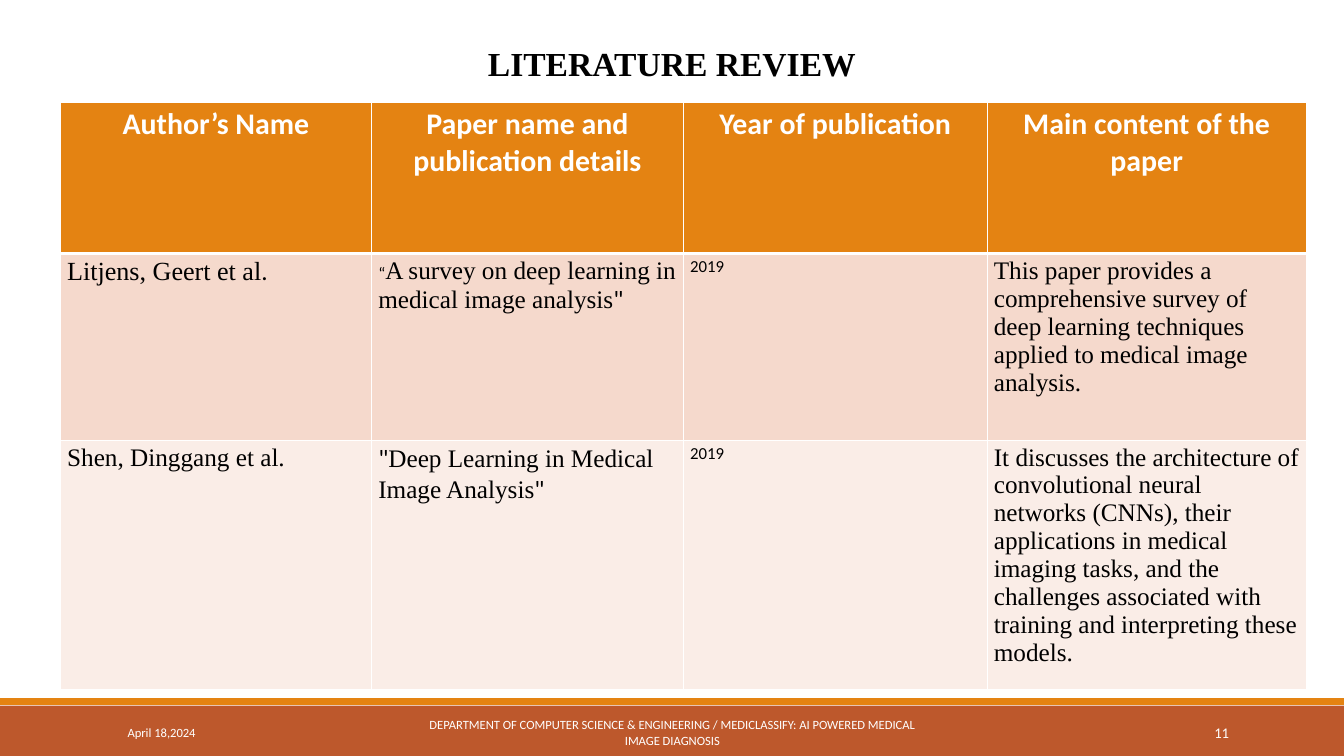
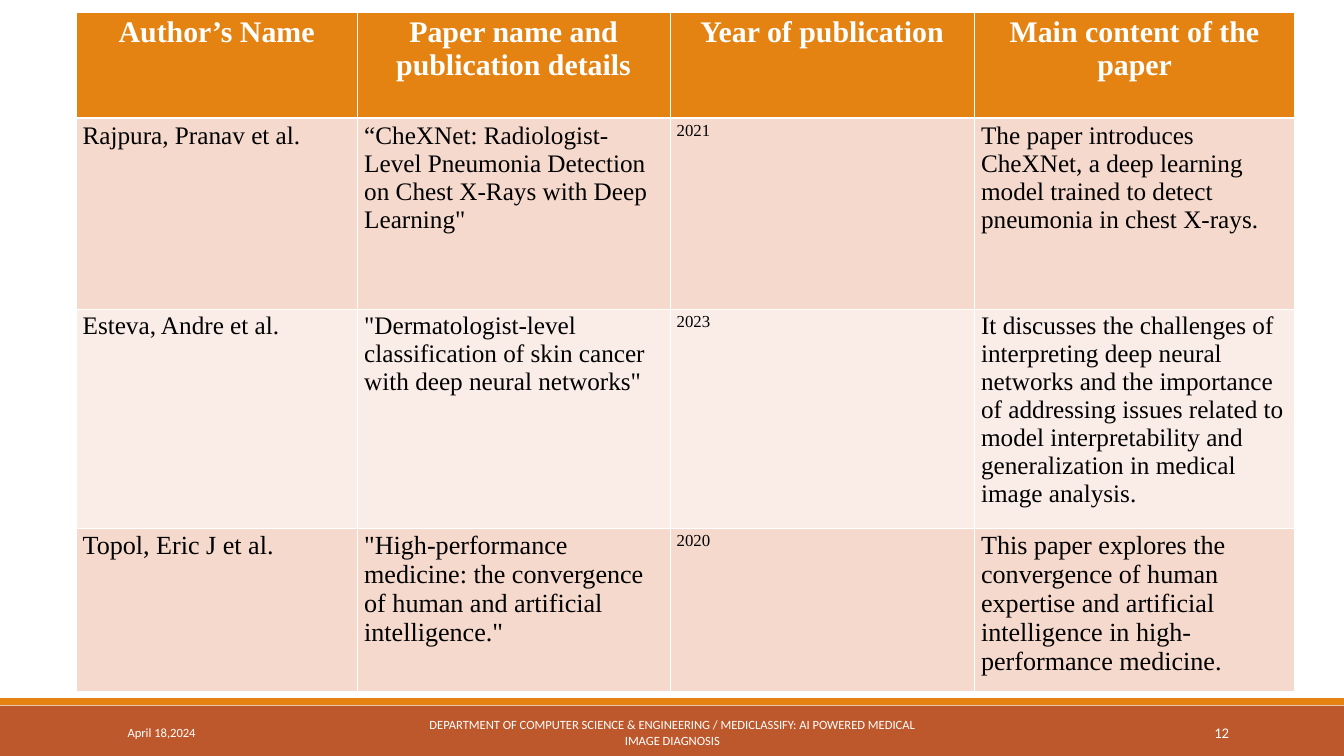
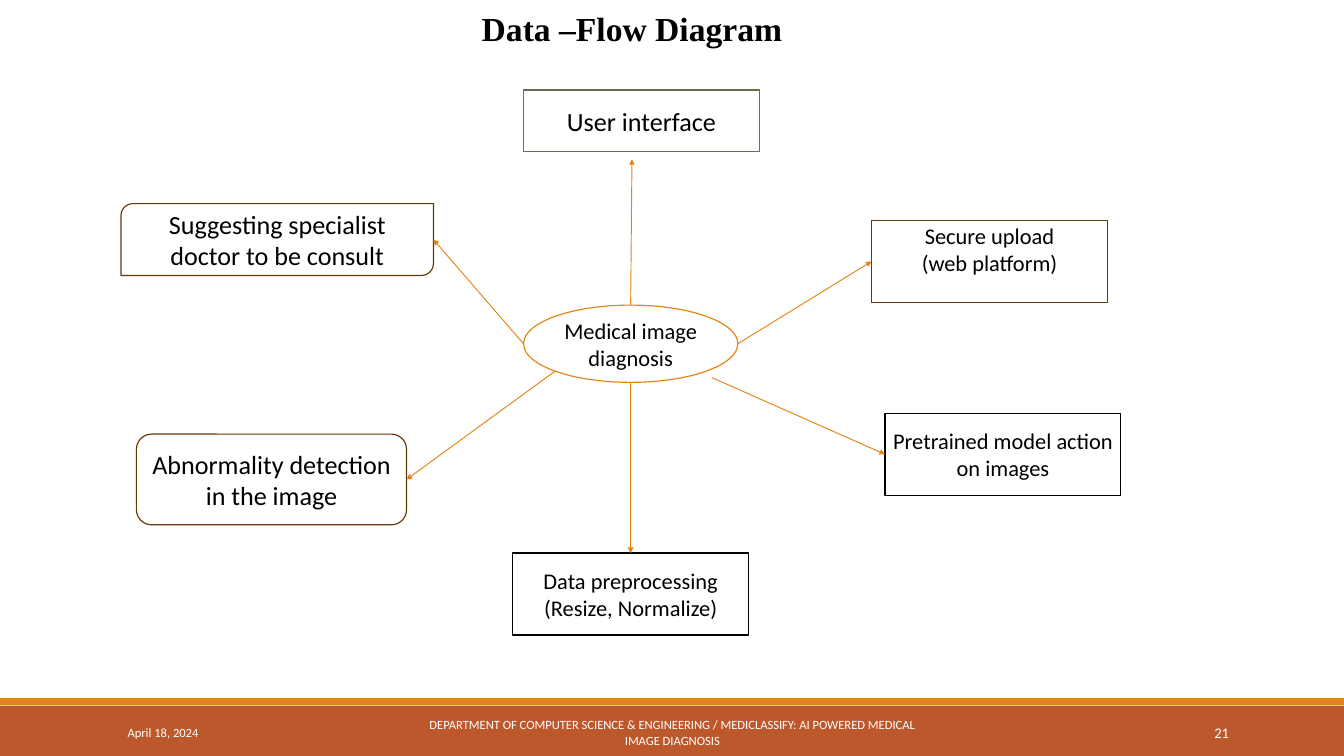
"""Builds three slides: two literature review tables and a data-flow diagram."""
from dataclasses import dataclass

from lxml import etree
from pptx import Presentation
from pptx.dml.color import RGBColor
from pptx.enum.shapes import MSO_CONNECTOR, MSO_SHAPE
from pptx.enum.text import MSO_ANCHOR, PP_ALIGN
from pptx.oxml.ns import qn
from pptx.util import Inches, Pt

WHITE = RGBColor(0xFF, 0xFF, 0xFF)
BLACK = RGBColor(0x00, 0x00, 0x00)
ORANGE = RGBColor(0xE4, 0x83, 0x12)
RUST = RGBColor(0xBD, 0x58, 0x2C)
PEACH = RGBColor(0xF5, 0xD9, 0xCC)
BLUSH = RGBColor(0xFA, 0xED, 0xE7)
OLIVE = RGBColor(0x63, 0x70, 0x52)
BROWN = RGBColor(0x64, 0x39, 0x08)

SANS = "Calibri"
SERIF = "Times New Roman"
LEFT, CENTER, RIGHT = PP_ALIGN.LEFT, PP_ALIGN.CENTER, PP_ALIGN.RIGHT
TOP, MIDDLE = MSO_ANCHOR.TOP, MSO_ANCHOR.MIDDLE
RECTANGLE, OVAL = MSO_SHAPE.RECTANGLE, MSO_SHAPE.OVAL
ROUNDED = MSO_SHAPE.ROUNDED_RECTANGLE
TWO_ROUNDED = MSO_SHAPE.ROUND_2_DIAG_RECTANGLE
STRAIGHT = MSO_CONNECTOR.STRAIGHT

COLUMNS, ROWS = 20, 11.25
WIDTH, HEIGHT = Inches(20), Inches(11.25)
FOOTER_TOP, FOOTER_ROWS = 10.6, 0.6
FOOTER_TEXT = ("DEPARTMENT OF COMPUTER SCIENCE & ENGINEERING / "
               "MEDICLASSIFY: AI POWERED MEDICAL IMAGE DIAGNOSIS")
HEADINGS = ("Author’s Name", "Paper name and publication details",
            "Year of publication", "Main content of the paper")


@dataclass
class Span:
    """A piece of text in one style."""
    text: str
    size: float = 27
    font: str = SERIF
    color: RGBColor = BLACK
    bold: bool = False


@dataclass
class Node:
    """A box of the diagram, placed in grid columns and rows."""
    place: tuple
    lines: tuple
    outline: RGBColor
    size: int = 24
    kind: int = RECTANGLE
    fill: RGBColor = None
    anchor: int = MIDDLE

    def point(self, across, down):
        """Return the grid point at the given shares of the box."""
        left, top, width, height = self.place
        return left + across * width, top + down * height


def grid(*lengths):
    """Turn grid units into slide lengths."""
    return [int(length * WIDTH / COLUMNS) for length in lengths]


def write(frame, paragraphs, align=LEFT):
    """Write paragraphs, each a list of spans, into a text frame."""
    frame.word_wrap = True
    for index, spans in enumerate(paragraphs):
        para = frame.add_paragraph() if index else frame.paragraphs[0]
        para.alignment = align
        for span in spans:
            run = para.add_run()
            run.text = span.text
            run.font.size = Pt(span.size)
            run.font.name = span.font
            run.font.bold = span.bold
            run.font.color.rgb = span.color


def add_text(page, place, span, align=LEFT, anchor=TOP, indent=0):
    """Add a text box holding one span and return its paragraph."""
    frame = page.shapes.add_textbox(*grid(*place)).text_frame
    write(frame, [[span]], align)
    frame.vertical_anchor = anchor
    para = frame.paragraphs[0]
    if indent:
        para._p.get_or_add_pPr().set("marL", str(grid(indent)[0]))
    return para


def add_box(page, kind, place, fill=None, outline=None):
    """Add a flat preset shape."""
    box = page.shapes.add_shape(kind, *grid(*place))
    box.shadow.inherit = False
    if fill is None:
        box.fill.background()
    else:
        box.fill.solid()
        box.fill.fore_color.rgb = fill
    if outline is None:
        box.line.fill.background()
    else:
        box.line.color.rgb = outline
        box.line.width = Pt(1.25)
    return box


def add_page(deck, date, number):
    """Add a blank page with the shared bands and footer."""
    page = deck.slides.add_slide(deck.slide_layouts[6])
    add_box(page, RECTANGLE, (0, 10.5, COLUMNS, ROWS - 10.5), RUST)
    add_box(page, RECTANGLE, (0, 10.39, COLUMNS, 0.1), ORANGE)
    footers = ((1.8, 4.06, date, 13.5, LEFT),
               (6.05, 7.91, FOOTER_TEXT, 13.5, CENTER),
               (16.24, 2.15, str(number), 15.8, RIGHT))
    for left, width, text, size, align in footers:
        add_text(page, (left, FOOTER_TOP, width, FOOTER_ROWS),
                 Span(text, size, SANS, WHITE), align, MIDDLE)
    return page


def add_title(page, place, text, align=LEFT, indent=0):
    """Add the page title and return its paragraph."""
    return add_text(page, place, Span(text, 36, bold=True), align, indent=indent)


def set_borders(cell, bottom):
    """Draw white borders round a cell, the bottom one as wide as given."""
    properties = cell._tc.get_or_add_tcPr()
    for side, points in (("L", 1), ("R", 1), ("T", 1), ("B", bottom)):
        line = etree.SubElement(properties, qn(f"a:ln{side}"), w=str(Pt(points)))
        fill = etree.SubElement(line, qn("a:solidFill"))
        etree.SubElement(fill, qn("a:srgbClr"), val=str(WHITE))


def add_review(page, corner, widths, heights, papers, heading_font):
    """Add a table of papers below a row of headings."""
    headings = [[Span(text, 32, heading_font, WHITE, True)] for text in HEADINGS]
    place = (*corner, sum(widths), sum(heights))
    table = page.shapes.add_table(len(heights), len(widths), *grid(*place)).table
    for column, width in zip(table.columns, grid(*widths)):
        column.width = width
    for row, height in zip(table.rows, grid(*heights)):
        row.height = height
    for index, entries in enumerate([headings, *papers]):
        fill = (PEACH if index % 2 else BLUSH) if index else ORANGE
        for cell, spans in zip(table.rows[index].cells, entries):
            set_borders(cell, 1 if index else 3)
            cell.fill.solid()
            cell.fill.fore_color.rgb = fill
            write(cell.text_frame, [spans], LEFT if index else CENTER)


def paper(author, name, year, content, size=27):
    """Return a table row in which all but the year has one size."""
    return [[Span(author, size)], [Span(name, size)], [Span(year, 18)],
            [Span(content, size)]]


def add_node(page, node):
    """Add a diagram box with its centred text."""
    box = add_box(page, node.kind, node.place, node.fill, node.outline)
    frame = box.text_frame
    write(frame, [[Span(line, node.size, SANS)] for line in node.lines], CENTER)
    frame.vertical_anchor = node.anchor
    if node.anchor == TOP:
        frame.margin_top = grid(0.03)[0]


def add_arrow(page, start, end):
    """Add an orange arrow between two grid points."""
    arrow = page.shapes.add_connector(STRAIGHT, *grid(*start, *end))
    arrow.line.color.rgb = ORANGE
    arrow.line.width = Pt(1)
    etree.SubElement(arrow.line._get_or_add_ln(), qn("a:tailEnd"), type="triangle")
    etree.SubElement(arrow._element.spPr, qn("a:effectLst"))


def build_first_review(deck):
    """Build the titled literature review page."""
    page = add_page(deck, "April 18,2024", 11)
    title = add_title(page, (0.53, 0.29, 18.44, 0.9), "LITERATURE REVIEW", CENTER, 0.5)
    title.line_spacing = 1.5
    year = [Span("2019", 18, SANS)]
    quote = Span('"', font=SANS)
    papers = [
        [[Span("Litjens, Geert et al", 28), Span(".", font=SANS)],
         [Span("“", 18, SANS),
          Span("A survey on deep learning in medical image analysis"), quote],
         year,
         [Span("This paper provides a comprehensive survey of deep learning "
               "techniques applied to medical image analysis.")]],
        [[Span("Shen, Dinggang et al.")],
         [quote, Span("Deep Learning in Medical Image Analysis"), quote],
         year,
         [Span("It discusses the architecture of convolutional neural networks "
               "(CNNs), their applications in medical imaging tasks, and the "
               "challenges associated with training and interpreting these "
               "models.")]],
    ]
    add_review(page, (0.9, 1.53), (4.63, 4.64, 4.52, 4.75),
               (2.24, 2.78, 3.7), papers, SANS)


def build_second_review(deck):
    """Build the page that continues the literature review."""
    page = add_page(deck, "April 18,2024", 12)
    papers = [
        paper("Rajpura, Pranav et al.",
              "“CheXNet: Radiologist-Level Pneumonia Detection on Chest X-Rays "
              'with Deep Learning"', "2021",
              "The paper introduces CheXNet, a deep learning model trained to "
              "detect pneumonia in chest X-rays."),
        paper("Esteva, Andre et al.",
              '"Dermatologist-level classification of skin cancer with deep '
              'neural networks"', "2023",
              "It discusses the challenges of interpreting deep neural networks "
              "and the importance of addressing issues related to model "
              "interpretability and generalization in medical image analysis."),
        paper("Topol, Eric J et al.",
              '"High-performance medicine: the convergence of human and '
              'artificial intelligence."', "2020",
              "This paper explores the convergence of human expertise and "
              "artificial intelligence in high-performance medicine.", 28),
    ]
    add_review(page, (1.13, 0.19), (4.19, 4.65, 4.53, 4.77),
               (1.57, 2.84, 3.26, 2.43), papers, SERIF)


def build_data_flow(deck):
    """Build the data-flow diagram page."""
    page = add_page(deck, "April 18, 2024", 21)
    add_title(page, (0.82, 0.07, 18.61, 0.71), "Data –Flow Diagram", indent=6.25)
    hub = Node((7.79, 4.54, 3.19, 1.15), ("Medical image diagnosis",), ORANGE,
               kind=OVAL, fill=WHITE)
    interface = Node((7.79, 1.34, 3.51, 0.91), ("User interface",), OLIVE, 28)
    upload = Node((12.97, 3.28, 3.51, 1.22), ("Secure upload", "(web platform)"),
                  BROWN, anchor=TOP)
    preprocessing = Node((7.63, 8.23, 3.51, 1.22),
                         ("Data preprocessing", "(Resize, Normalize)"), BLACK)
    detection = Node((2.03, 6.46, 4.02, 1.35),
                     ("Abnormality detection in the image",), BROWN, 28, ROUNDED)
    specialist = Node((1.8, 3.03, 4.65, 1.07),
                      ("Suggesting specialist doctor to be consult",),
                      BROWN, 28, TWO_ROUNDED, WHITE)
    model = Node((13.17, 6.15, 3.51, 1.22),
                 ("Pretrained model action on images",), BLACK)
    for node in (hub, interface, upload, preprocessing, detection, specialist, model):
        add_node(page, node)
    spokes = (((0.5, 0), interface, (0.46, 1.13)),
              ((1, 0.5), upload, (0, 0.5)),
              ((0.88, 0.94), model, (0, 0.5)),
              ((0.5, 1), preprocessing, (0.5, 0)),
              ((0.15, 0.85), detection, (1, 0.5)),
              ((0, 0.5), specialist, (1, 0.5)))
    for start, node, end in spokes:
        add_arrow(page, hub.point(*start), node.point(*end))


def main():
    """Build and save the deck."""
    deck = Presentation()
    deck.slide_width, deck.slide_height = WIDTH, HEIGHT
    build_first_review(deck)
    build_second_review(deck)
    build_data_flow(deck)
    deck.save("out.pptx")


if __name__ == "__main__":
    main()
